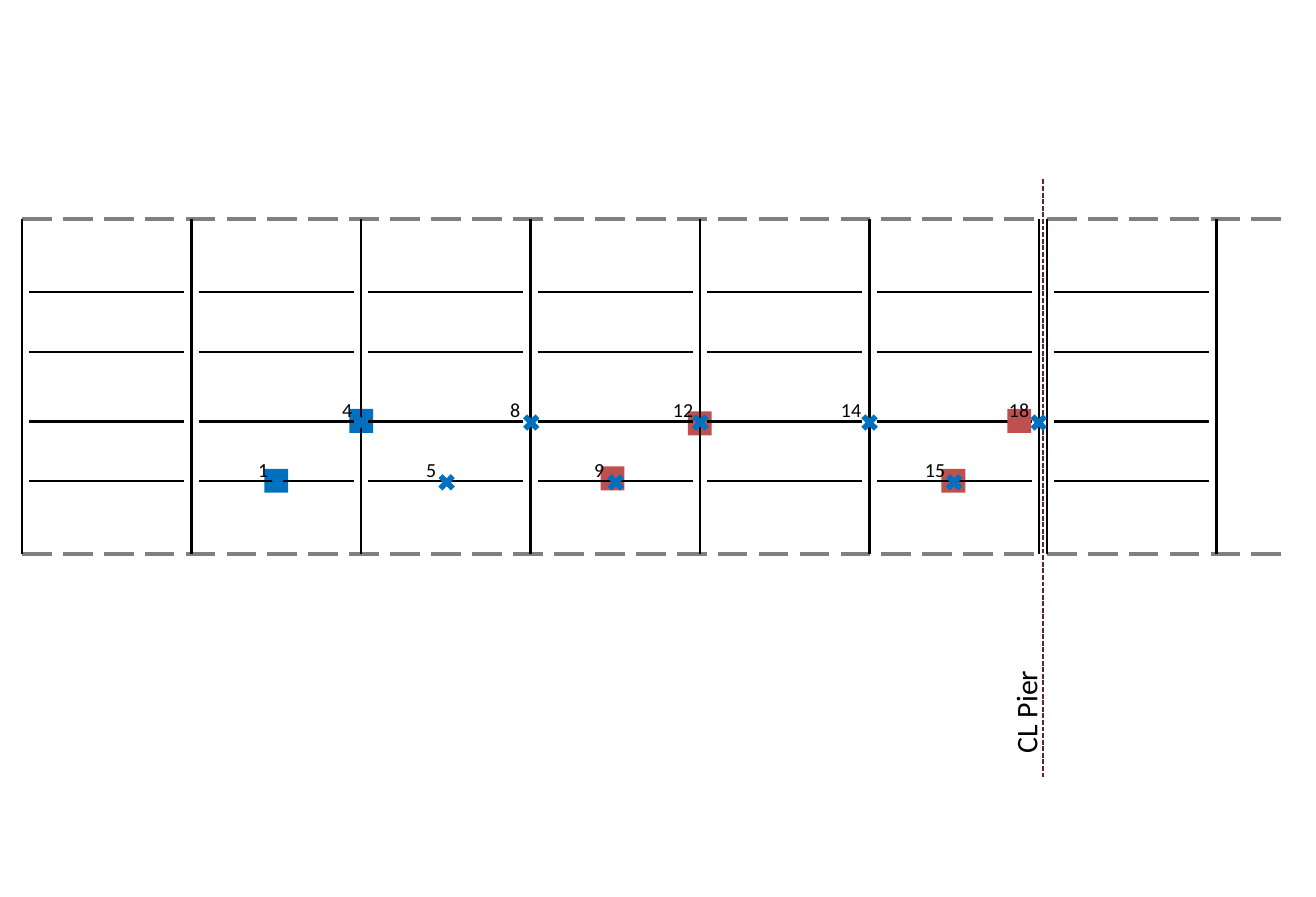
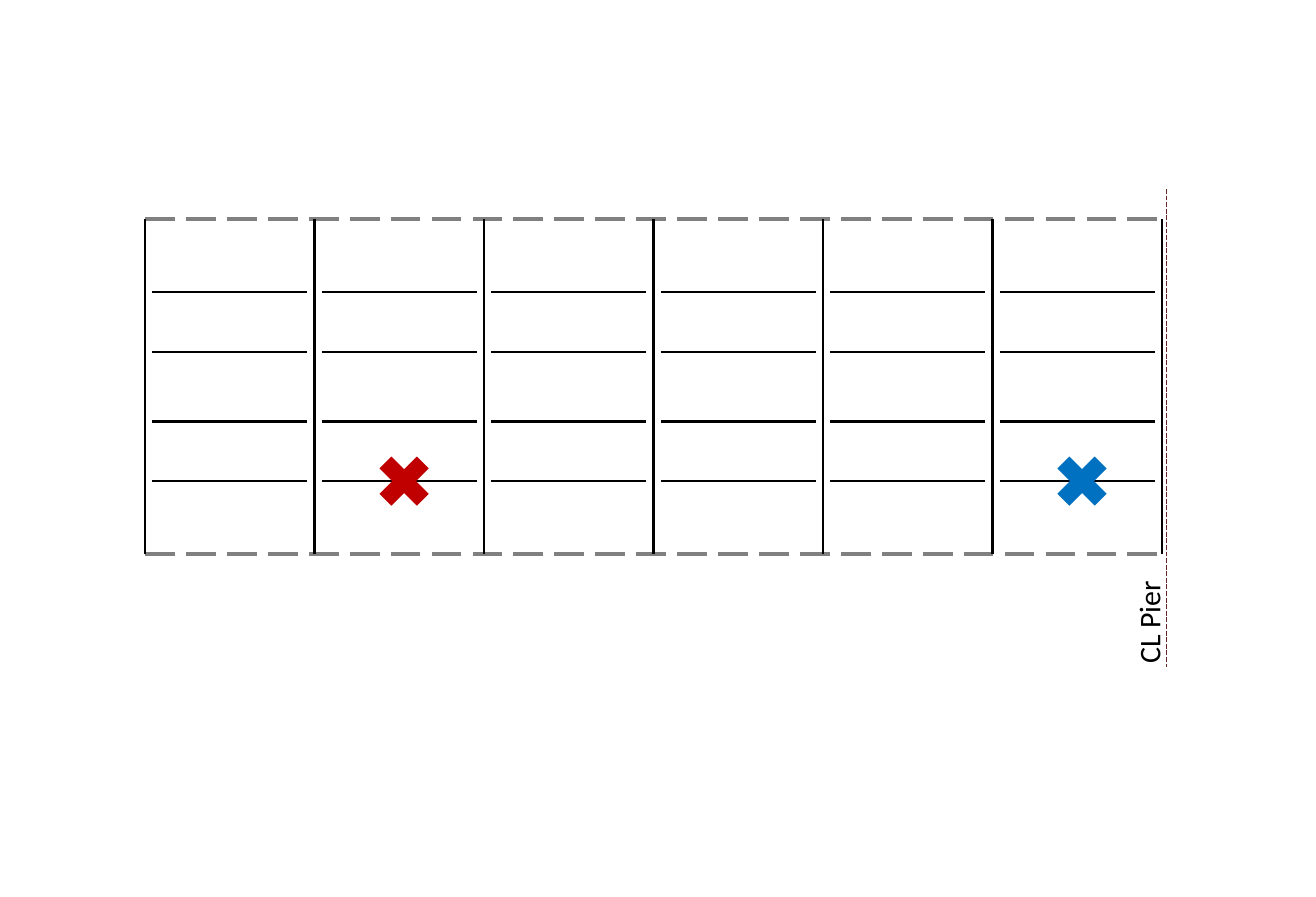
from collections import namedtuple
from lxml.etree import SubElement
from pptx import Presentation
from pptx.dml.color import RGBColor
from pptx.enum.dml import MSO_LINE as Dash
from pptx.enum.shapes import MSO_CONNECTOR as Connector, MSO_SHAPE as Preset
from pptx.enum.text import MSO_AUTO_SIZE as AutoSize, PP_ALIGN as Align
from pptx.oxml.ns import qn
from pptx.util import Inches, Pt

Box = namedtuple("Box", "left top width height")

FONT = "Calibri"
BLACK, GREY, MAROON = "000000", "808080", "632523"
BLUE, BRICK, RED = "0070C0", "C0504D", "C00000"
BAY = 8.5 / 6
HALF_BAY = BAY / 2
DECK_LEFT, EDGE_TOP, DECK_HEIGHT = 11 / 60, 11 / 6, 2.8
GIRDERS = [EDGE_TOP + offset for offset in (0.61, 1.11, 1.69, 2.19)]
UPPER, LOWER = GIRDERS[2:]
GIRDER_GAP = 0.06
MARK = 0.2
GAUGE_STEP, LABEL_STEP = 0.707, 0.702


def colour(code):
    return RGBColor.from_string(code)


def add_line(shapes, start, end, code=BLACK, weight=1.5, dash=None):
    line = shapes.add_connector(Connector.STRAIGHT, *map(Inches, start + end))
    line.line.color.rgb = colour(code)
    line.line.width = Pt(weight)
    if dash:
        line.line.dash_style = dash
    SubElement(line._element.spPr, qn("a:effectLst"))


def centred(x, y, size):
    return Box(x - size / 2, y - size / 2, size, size)


def add_mark(page, preset, x, y, code, size=MARK):
    mark = page.shapes.add_shape(preset, *map(Inches, centred(x, y, size)))
    mark.shadow.inherit = False
    mark.fill.solid()
    mark.fill.fore_color.rgb = colour(code)
    mark.line.fill.background()


def add_text(page, box, text, size, align=Align.LEFT, insets=(0, 0), rotation=0):
    label = page.shapes.add_textbox(*map(Inches, box))
    label.rotation = rotation
    frame = label.text_frame
    frame.word_wrap = True
    frame.auto_size = AutoSize.SHAPE_TO_FIT_TEXT
    frame.margin_left, frame.margin_right = map(Inches, insets)
    frame.margin_top = frame.margin_bottom = 0
    para = frame.paragraphs[0]
    para.alignment = align
    span = para.add_run()
    span.text = text
    span.font.name = FONT
    span.font.size = Pt(size)
    span.font.color.rgb = colour(BLACK)


def add_span(page, box, bays):
    shapes = page.shapes.add_group_shape().shapes
    right, bottom = box.left + box.width, box.top + box.height
    for y in (box.top, bottom):
        add_line(shapes, (box.left, y), (right, y), GREY, 2.25, Dash.LONG_DASH)
    for index in range(bays + 1):
        x = box.left + index * BAY
        add_line(shapes, (x, box.top), (x, bottom))
    for index in range(bays):
        x = box.left + index * BAY
        for y in GIRDERS:
            add_line(shapes, (x + GIRDER_GAP, y), (x + BAY - GIRDER_GAP, y))


def add_pier(page, x, top, height, label_bottom):
    add_line(page.shapes, (x, top), (x, top + height), MAROON, 1, Dash.SQUARE_DOT)
    length, depth = 1.42, 0.3
    box = Box(x - (depth + length) / 2, label_bottom - (length + depth) / 2, length, depth)
    add_text(page, box, "CL Pier", 18, insets=(0.2, 0.1), rotation=270)


def add_gauges(page, left, gauges):
    for step in gauges:
        y = (UPPER if step % 2 else LOWER) + 0.01
        add_mark(page, Preset.MATH_MULTIPLY, left + step * GAUGE_STEP, y, BLUE)


def add_gauge_labels(page, left, gauges):
    for step, number in gauges.items():
        y = (UPPER if step % 2 else LOWER) - 0.1
        box = centred(left + step * LABEL_STEP, y, MARK)
        add_text(page, box, number, 12, Align.CENTER)


def build_gauge_plan(page):
    gauges = {0: "1", 1: "4", 2: "5", 3: "8", 4: "9", 5: "12", 7: "14", 8: "15", 9: "18"}
    squares = (
        (7.97, 4.02, BRICK),
        (3.02, 3.52, BLUE),
        (5.12, 4.0, BRICK),
        (5.85, 3.54, BRICK),
        (2.31, 4.02, BLUE),
    )
    for x, y, code in squares:
        add_mark(page, Preset.RECTANGLE, x, y, code)
    add_span(page, Box(DECK_LEFT, EDGE_TOP, 6 * BAY, DECK_HEIGHT), 6)
    add_span(page, Box(8.75, EDGE_TOP, 2, DECK_HEIGHT), 1)
    add_pier(page, 8.72, 1.5, 5, 6.5)
    add_gauges(page, 2.32, gauges)
    add_mark(page, Preset.RECTANGLE, 8.52, 3.52, BRICK)
    add_gauge_labels(page, 2.2, gauges)


def build_load_plan(page):
    left = DECK_LEFT + 1.03
    add_span(page, Box(left, EDGE_TOP, 6 * BAY, DECK_HEIGHT), 6)
    add_pier(page, 9.75, 1.58, 4, 5.75)
    for bay, code in ((1, RED), (5, BLUE)):
        x = left + bay * BAY + HALF_BAY + 0.04
        add_mark(page, Preset.MATH_MULTIPLY, x, LOWER, code, 0.6)


deck = Presentation()
deck.slide_width, deck.slide_height = Inches(11), Inches(7.5)
blank = deck.slide_layouts[6]
for build in (build_gauge_plan, build_load_plan):
    build(deck.slides.add_slide(blank))
deck.save("out.pptx")
